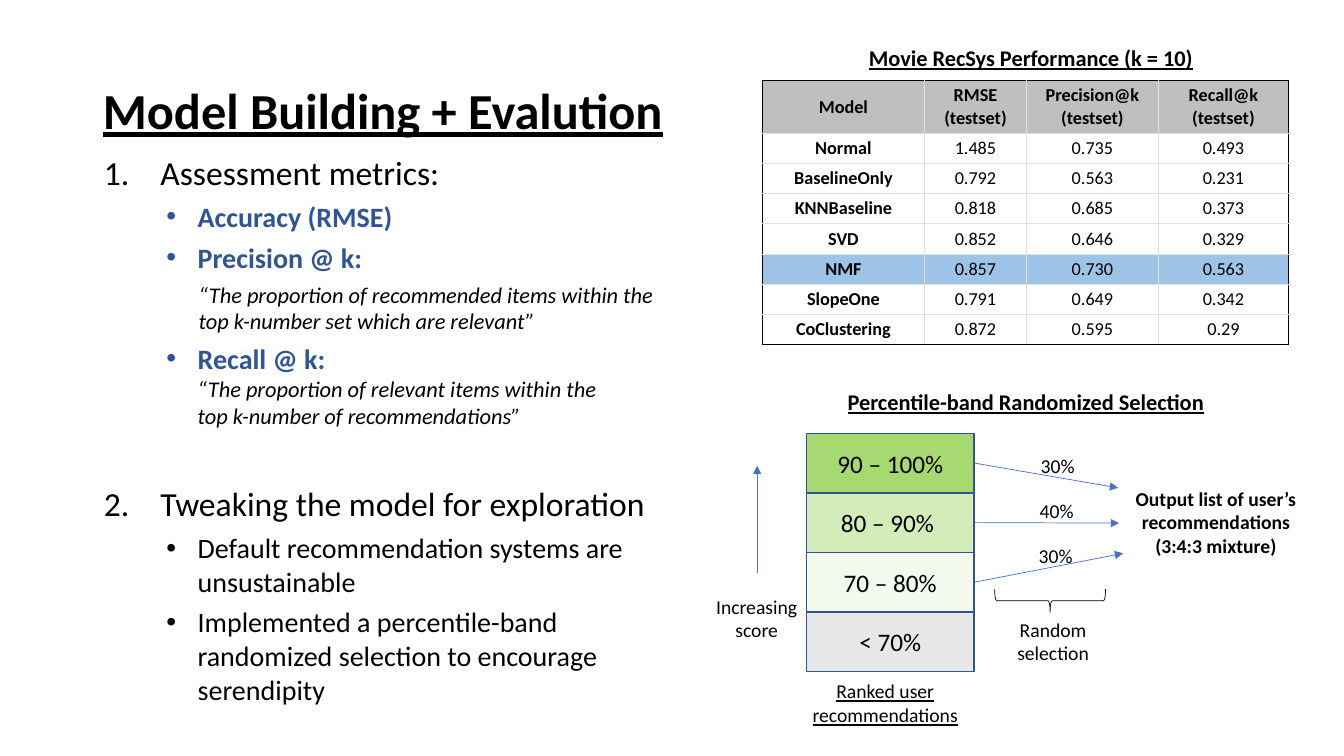
from lxml import etree
from pptx import Presentation
from pptx.dml.color import RGBColor
from pptx.enum.shapes import MSO_CONNECTOR, MSO_SHAPE
from pptx.enum.text import MSO_ANCHOR, MSO_AUTO_SIZE, PP_ALIGN
from pptx.oxml.ns import qn
from pptx.util import Inches, Pt

CENTER, LEFT = PP_ALIGN.CENTER, PP_ALIGN.LEFT
MIDDLE, TOP = MSO_ANCHOR.MIDDLE, MSO_ANCHOR.TOP
GROW, FIXED = MSO_AUTO_SIZE.SHAPE_TO_FIT_TEXT, MSO_AUTO_SIZE.NONE
STRAIGHT = MSO_CONNECTOR.STRAIGHT
RECTANGLE, BRACE = MSO_SHAPE.RECTANGLE, MSO_SHAPE.RIGHT_BRACE

COLORS = {
    "black": "000000", "white": "FFFFFF", "metric": "2F5597",
    "header": "BFBFBF", "best": "9DC3E6", "grid": "DFE2E5",
    "green": "92D050", "gray": "D0CECE", "band_edge": "325491",
    "arrow": "4472C4",
}


def rgb(name):
    return RGBColor.from_string(COLORS[name])


class SlideBuilder:
    font = "Calibri"

    def __init__(self, slide):
        self.slide = slide

    def add_text(self, paragraph, text, size, color="black", bold=False,
                 italic=False, underline=False):
        """Add one styled run per line, with line breaks between them."""
        for index, line in enumerate(text.split("\n")):
            if index:
                paragraph.add_line_break()
            run = paragraph.add_run()
            run.text = line
            run.font.name, run.font.size = self.font, Pt(size)
            run.font.color.rgb = rgb(color)
            run.font.bold, run.font.italic = bold, italic
            run.font.underline = underline

    def place(self, shape, left, top, width, height):
        shape.left, shape.top = Inches(left), Inches(top)
        shape.width, shape.height = Inches(width), Inches(height)

    def title(self, text, box):
        heading = self.slide.shapes.title
        self.place(heading, *box)
        heading.text_frame.vertical_anchor = MIDDLE
        heading.text_frame.auto_size = FIXED
        paragraph = heading.text_frame.paragraphs[0]
        paragraph.alignment, paragraph.line_spacing = LEFT, 0.9
        self.add_text(paragraph, text, 36, bold=True, underline=True)

    def outline(self, items, box):
        """Fill the body with (kind, space before, runs) items."""
        levels = {"number": (0, 0.57, -0.56), "bullet": (1, 0.94, -0.31),
                  "quote": (3, 0.95, 0)}
        body = self.slide.placeholders[1]
        self.place(body, *box)
        frame = body.text_frame
        frame.auto_size, frame.vertical_anchor = FIXED, TOP
        number = 0
        for index, (kind, before, runs) in enumerate(items):
            paragraph = frame.add_paragraph() if index else frame.paragraphs[0]
            level, margin, indent = levels[kind]
            paragraph.level = level
            properties = paragraph._p.get_or_add_pPr()
            properties.set("marL", str(Inches(margin)))
            properties.set("indent", str(Inches(indent)))
            if kind == "number":
                number += 1
                etree.SubElement(properties, qn("a:buFont"), typeface="+mj-lt")
                etree.SubElement(properties, qn("a:buAutoNum"),
                                 type="arabicPeriod", startAt=str(number))
            elif kind == "bullet":
                etree.SubElement(properties, qn("a:buFont"), typeface="Arial")
                etree.SubElement(properties, qn("a:buChar"), char="•")
            else:
                etree.SubElement(properties, qn("a:buNone"))
            paragraph.alignment, paragraph.line_spacing = LEFT, 1.0
            paragraph.space_before = Pt(before)
            for text, style in runs:
                self.add_text(paragraph, text, **style)

    def label(self, lines, box, size=14, wrap=True, **style):
        frame = self.slide.shapes.add_textbox(*map(Inches, box)).text_frame
        frame.word_wrap, frame.auto_size = wrap, GROW
        for index, line in enumerate(lines):
            paragraph = frame.add_paragraph() if index else frame.paragraphs[0]
            paragraph.alignment = CENTER
            self.add_text(paragraph, line, size, **style)

    def cell_border(self, cell, side, color, width):
        edge = etree.SubElement(cell._tc.get_or_add_tcPr(), qn(f"a:ln{side}"),
                                w=str(Pt(width)))
        fill = etree.SubElement(edge, qn("a:solidFill"))
        etree.SubElement(fill, qn("a:srgbClr"), val=COLORS[color])

    def table(self, rows, box, widths, heights, best):
        """Draw rows under a header row, with the row named best coloured."""
        table = self.slide.shapes.add_table(
            len(rows), len(widths), *map(Inches, box)).table
        table.first_row = table.horz_banding = False
        for column, width in zip(table.columns, widths):
            column.width = Inches(width)
        for r, values in enumerate(rows):
            table.rows[r].height = Inches(heights[r])
            fill = "header" if r == 0 else "best" if values[0] == best else "white"
            for c, value in enumerate(values):
                cell = table.cell(r, c)
                outer = {"L": c == 0, "R": c == len(widths) - 1,
                         "T": r == 0, "B": r == len(rows) - 1}
                for side, is_outer in outer.items():
                    self.cell_border(cell, side, *(("black", 1) if is_outer
                                                   else ("grid", 0.75)))
                cell.fill.solid()
                cell.fill.fore_color.rgb = rgb(fill)
                cell.vertical_anchor = MIDDLE
                cell.margin_left = cell.margin_right = Inches(0.08)
                cell.margin_top = cell.margin_bottom = Inches(0.04)
                paragraph = cell.text_frame.paragraphs[0]
                paragraph.alignment = CENTER
                self.add_text(paragraph, value, 13, bold=r == 0 or c == 0)

    def band(self, text, box, color, opacity):
        band = self.slide.shapes.add_shape(RECTANGLE, *map(Inches, box))
        band.shadow.inherit = False
        band.fill.solid()
        band.fill.fore_color.rgb = rgb(color)
        tint = band._element.spPr.find(f"{qn('a:solidFill')}/{qn('a:srgbClr')}")
        etree.SubElement(tint, qn("a:alpha"), val=str(opacity * 1000))
        band.line.color.rgb, band.line.width = rgb("band_edge"), Pt(1)
        band.text_frame.vertical_anchor = MIDDLE
        paragraph = band.text_frame.paragraphs[0]
        paragraph.alignment = CENTER
        self.add_text(paragraph, text, 18)

    def arrow(self, start, end):
        arrow = self.slide.shapes.add_connector(
            STRAIGHT, *map(Inches, (*start, *end)))
        arrow.line.color.rgb, arrow.line.width = rgb("arrow"), Pt(0.5)
        etree.SubElement(arrow.line._get_or_add_ln(), qn("a:tailEnd"),
                         type="triangle")
        etree.SubElement(arrow._element.spPr, qn("a:effectLst"))

    def down_brace(self, box):
        brace = self.slide.shapes.add_shape(BRACE, *map(Inches, box))
        brace.rotation = 90
        brace.shadow.inherit = False
        brace.fill.background()
        brace.line.color.rgb, brace.line.width = rgb("black"), Pt(0.5)


METRIC = {"size": 20, "color": "metric", "bold": True}
QUOTE = {"size": 16, "italic": True}
TOPIC, POINT = {"size": 24}, {"size": 20}
OUTLINE = [
    ("number", 0, [("Assessment metrics:", TOPIC)]),
    ("bullet", 5, [("Accuracy (RMSE)", METRIC)]),
    ("bullet", 5, [("Precision @ k:", METRIC)]),
    ("quote", 5, [("“The proportion of recommended items within the "
                   "top k-number set which are relevant”", QUOTE)]),
    ("bullet", 5, [("Recall @ k: \n", METRIC),
                   ("“The proportion of relevant items within the \n"
                    "top k-number of recommendations”", QUOTE)]),
    ("number", 39, [("Tweaking the model for exploration", TOPIC)]),
    ("bullet", 5, [("Default recommendation systems are unsustainable", POINT)]),
    ("bullet", 5, [("Implemented a percentile-band randomized selection "
                    "to encourage serendipity", POINT)]),
]
SCORES = [
    ("Model", "RMSE\n(testset)", "Precision@k\n(testset)", "Recall@k\n(testset)"),
    ("Normal", "1.485", "0.735", "0.493"),
    ("BaselineOnly", "0.792", "0.563", "0.231"),
    ("KNNBaseline", "0.818", "0.685", "0.373"),
    ("SVD", "0.852", "0.646", "0.329"),
    ("NMF", "0.857", "0.730", "0.563"),
    ("SlopeOne", "0.791", "0.649", "0.342"),
    ("CoClustering", "0.872", "0.595", "0.29"),
]
BANDS = [("90 – 100%", "green", 80), ("80 – 90% ", "green", 40),
         ("70 – 80%", "green", 10), ("< 70%", "gray", 47)]
SHARES = [("30%", (11.09, 4.84)), ("40%", (11.1, 5.19)), ("30%", (11.14, 5.49))]
BAND_TOP, BAND_HEIGHT = 4.3, 0.59


def main():
    deck = Presentation()
    deck.slide_width, deck.slide_height = Inches(13.33), Inches(7.5)
    page = SlideBuilder(deck.slides.add_slide(deck.slide_layouts[1]))
    page.title("Model Building + Evalution", (0.92, 0.4, 11.5, 1.45))
    page.outline(OUTLINE, (0.92, 1.46, 5.85, 5.83))

    page.table(SCORES, (7.56, 0.8, 5.22, 2.55), (1.61, 1.01, 1.31, 1.29),
               [0.52] + [0.29] * 7, best="NMF")
    page.label(["Movie RecSys Performance (k = 10)"], (7.61, 0.39, 5.23, 0.37),
               size=16, bold=True, underline=True)
    page.label(["Percentile-band Randomized Selection"], (7.56, 3.8, 5.23, 0.37),
               size=16, bold=True, underline=True)

    for index, (text, color, opacity) in reversed(list(enumerate(BANDS))):
        top = BAND_TOP + index * BAND_HEIGHT
        page.band(text, (8, top, 1.66, BAND_HEIGHT), color, opacity)
    for index, (share, end) in enumerate(SHARES):
        page.arrow((9.67, BAND_TOP + (index + 0.5) * BAND_HEIGHT), end)
        page.label([share], (10.22 - index * 0.01, 4.45 + index * 0.45, 0.54, 0.34),
                   wrap=False)

    page.arrow((7.51, 5.68), (7.51, 4.62))
    page.label(["Increasing", "score"], (7, 5.85, 1.01, 0.57), wrap=False)
    page.label(["Output list of user’s recommendations", "(3:4:3 mixture)"],
               (11.14, 4.78, 1.84, 0.81), bold=True)
    page.down_brace((10.3, 5.41, 0.23, 1.1))
    page.label(["Random selection"], (9.97, 6.08, 0.95, 0.57))
    page.label(["Ranked user recommendations"], (7.89, 6.69, 1.78, 0.57),
               underline=True)
    deck.save("out.pptx")


if __name__ == "__main__":
    main()
